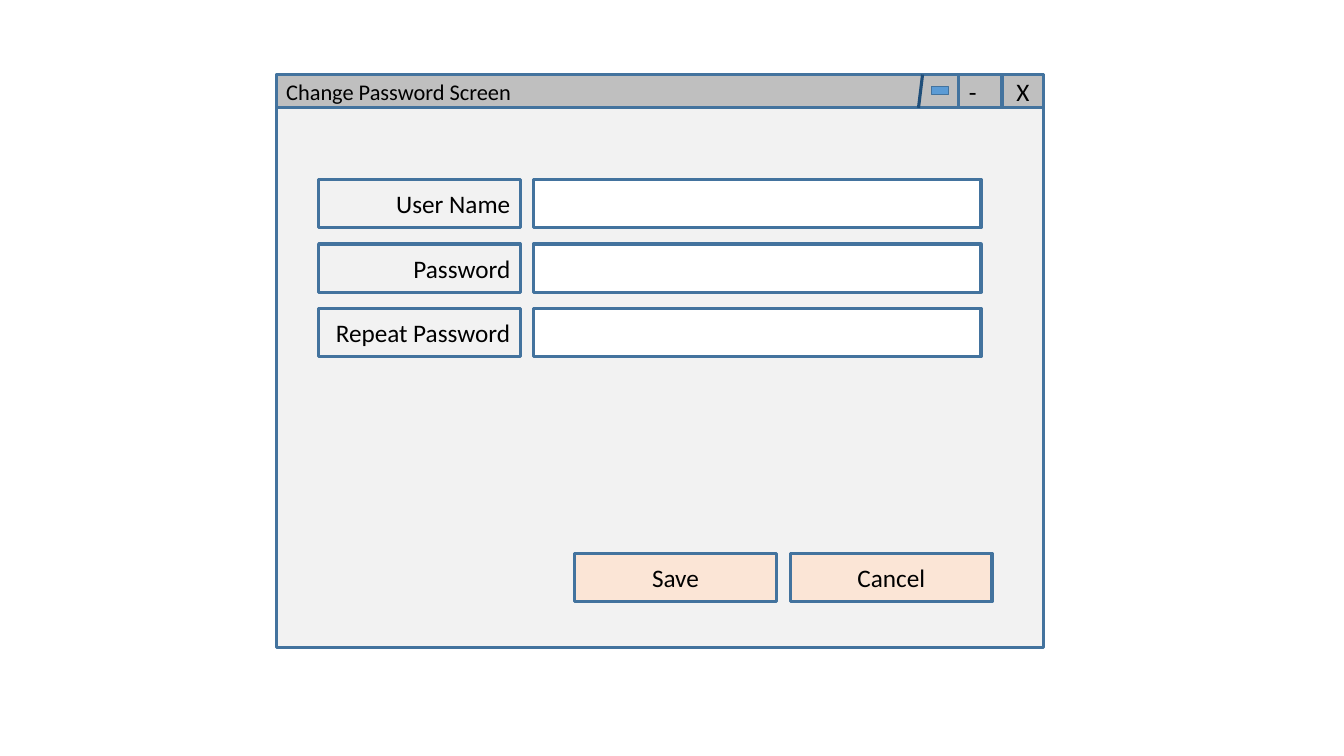
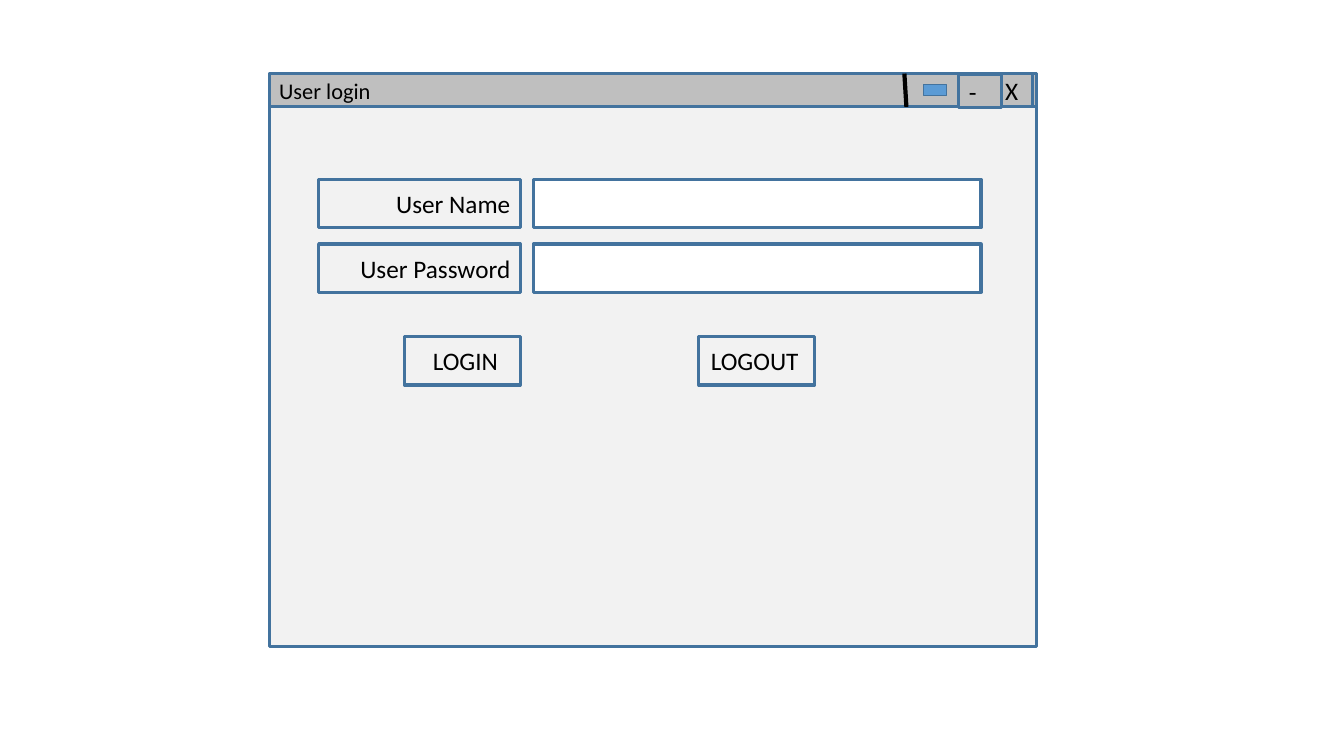
from dataclasses import dataclass

from lxml import etree
from pptx import Presentation
from pptx.dml.color import RGBColor
from pptx.enum.shapes import MSO_CONNECTOR, MSO_SHAPE
from pptx.enum.text import MSO_ANCHOR, PP_ALIGN
from pptx.oxml.ns import qn
from pptx.util import Inches, Pt

RECTANGLE = MSO_SHAPE.RECTANGLE
STRAIGHT = MSO_CONNECTOR.STRAIGHT
MIDDLE = MSO_ANCHOR.MIDDLE
LEFT, CENTER, RIGHT = PP_ALIGN.LEFT, PP_ALIGN.CENTER, PP_ALIGN.RIGHT

COLORS = {
    "outline": "43739E",
    "window": "F2F2F2",
    "bar": "BFBFBF",
    "field": "FFFFFF",
    "action": "FBE5D6",
    "restore": "5B9BD5",
    "divider": "1F4E79",
    "text": "000000",
}
FONT = "Calibri"
OUTLINE_WIDTH = 2.25
BAR_HEIGHT = 0.33
CONTROL_HEIGHT = 0.48
ROW_PITCH = 0.64
LABEL_WIDTH = 2
FIELD_WIDTH = 4.44
FIELD_GAP = 0.13
BUTTON_GAP = 0.14


@dataclass
class Box:
    left: float
    top: float
    width: float
    height: float

    def inner(self, left, top, width, height):
        return Box(self.left + left, self.top + top, width, height)

    def lengths(self):
        return [Inches(value) for value in (self.left, self.top, self.width, self.height)]


def color(name):
    return RGBColor.from_string(COLORS[name])


def set_attributes(target, values):
    for name, value in values.items():
        setattr(target, name, value)


def add_panel(shapes, box, fill, text="", size=18, align=LEFT, inset=0.1, line=OUTLINE_WIDTH):
    shape = shapes.add_shape(RECTANGLE, *box.lengths())
    shape.shadow.inherit = False
    shape.fill.solid()
    shape.fill.fore_color.rgb = color(fill)
    shape.line.color.rgb = color("outline")
    shape.line.width = Pt(line)
    if text:
        set_attributes(shape.text_frame, {
            "word_wrap": True,
            "vertical_anchor": MIDDLE,
            "margin_right": Inches(inset),
        })
        paragraph = shape.text_frame.paragraphs[0]
        paragraph.alignment = align
        run = paragraph.add_run()
        run.text = text
        set_attributes(run.font, {"name": FONT, "size": Pt(size)})
        run.font.color.rgb = color("text")


def add_divider(shapes, box, start, end, line_color, width):
    top = box.top
    connector = shapes.add_connector(
        STRAIGHT, Inches(box.left + start), Inches(top),
        Inches(box.left + end), Inches(top + BAR_HEIGHT))
    connector.line.color.rgb = color(line_color)
    connector.line.width = Pt(width)
    properties = connector._element.spPr
    etree.SubElement(properties, qn("a:effectLst"))


def add_window(slide, box, title):
    add_panel(slide.shapes, box, "window")
    add_panel(slide.shapes, box.inner(0, 0, box.width, BAR_HEIGHT), "bar", title, 16)


def add_window_controls(slide, box, close, minimize, restore, divider):
    shapes = slide.shapes
    add_panel(shapes, box.inner(close, 0, 0.41, BAR_HEIGHT), "bar", "X", align=CENTER)
    add_panel(shapes, box.inner(*minimize, 0.42, BAR_HEIGHT), "bar", "-")
    add_panel(shapes, box.inner(*restore), "restore", line=1)
    add_divider(shapes, box, *divider)


def add_form(slide, box, labels):
    for index, label in enumerate(labels):
        row = slide.shapes.add_group_shape().shapes
        top = index * ROW_PITCH
        add_panel(row, box.inner(0, top, LABEL_WIDTH, CONTROL_HEIGHT),
                  "window", label, align=RIGHT)
        add_panel(row, box.inner(LABEL_WIDTH + FIELD_GAP, top, FIELD_WIDTH, CONTROL_HEIGHT),
                  "field")


def add_buttons(slide, box, captions, gap, fill, align, insets):
    width = (box.width - gap * (len(captions) - 1)) / len(captions)
    for index, (caption, inset) in enumerate(zip(captions, insets)):
        add_panel(slide.shapes, box.inner(index * (width + gap), 0, width, box.height),
                  fill, caption, align=align, inset=inset)


def build_change_password(slide, window, form):
    add_window(slide, window, "Change Password Screen")
    add_window_controls(slide, window, close=7.2, minimize=(6.77, 0),
                        restore=(6.5, 0.12, 0.17, 0.08),
                        divider=(6.41, 6.37, "divider", OUTLINE_WIDTH))
    add_form(slide, form, ["User Name", "Password", "Repeat Password"])
    add_buttons(slide, window.inner(2.96, 4.75, 4.14, CONTROL_HEIGHT),
                ["Save", "Cancel"], BUTTON_GAP, "action", CENTER, [0.1, 0.1])


def build_login(slide, window, form):
    add_window(slide, window, "User login")
    add_window_controls(slide, window, close=7.16, minimize=(6.84, 0.01),
                        restore=(6.49, 0.11, 0.23, 0.11),
                        divider=(6.3, 6.32, "text", 3))
    add_form(slide, form, ["User Name", "User Password"])
    add_buttons(slide, form.inner(0.85, 1.56, 4.07, CONTROL_HEIGHT),
                ["LOGIN", "LOGOUT"], 1.77, "window", RIGHT, [0.22, 0.16])


presentation = Presentation()
set_attributes(presentation, {"slide_width": Inches(13.33), "slide_height": Inches(7.5)})
blank = presentation.slide_layouts[6]
form_box = Box(3.16, 1.78, LABEL_WIDTH + FIELD_GAP + FIELD_WIDTH, 1.77)
for build, window_box in (
    (build_change_password, Box(2.74, 0.74, 7.61, 5.68)),
    (build_login, Box(2.67, 0.73, 7.61, 5.68)),
):
    build(presentation.slides.add_slide(blank), window_box, form_box)
presentation.save("out.pptx")
